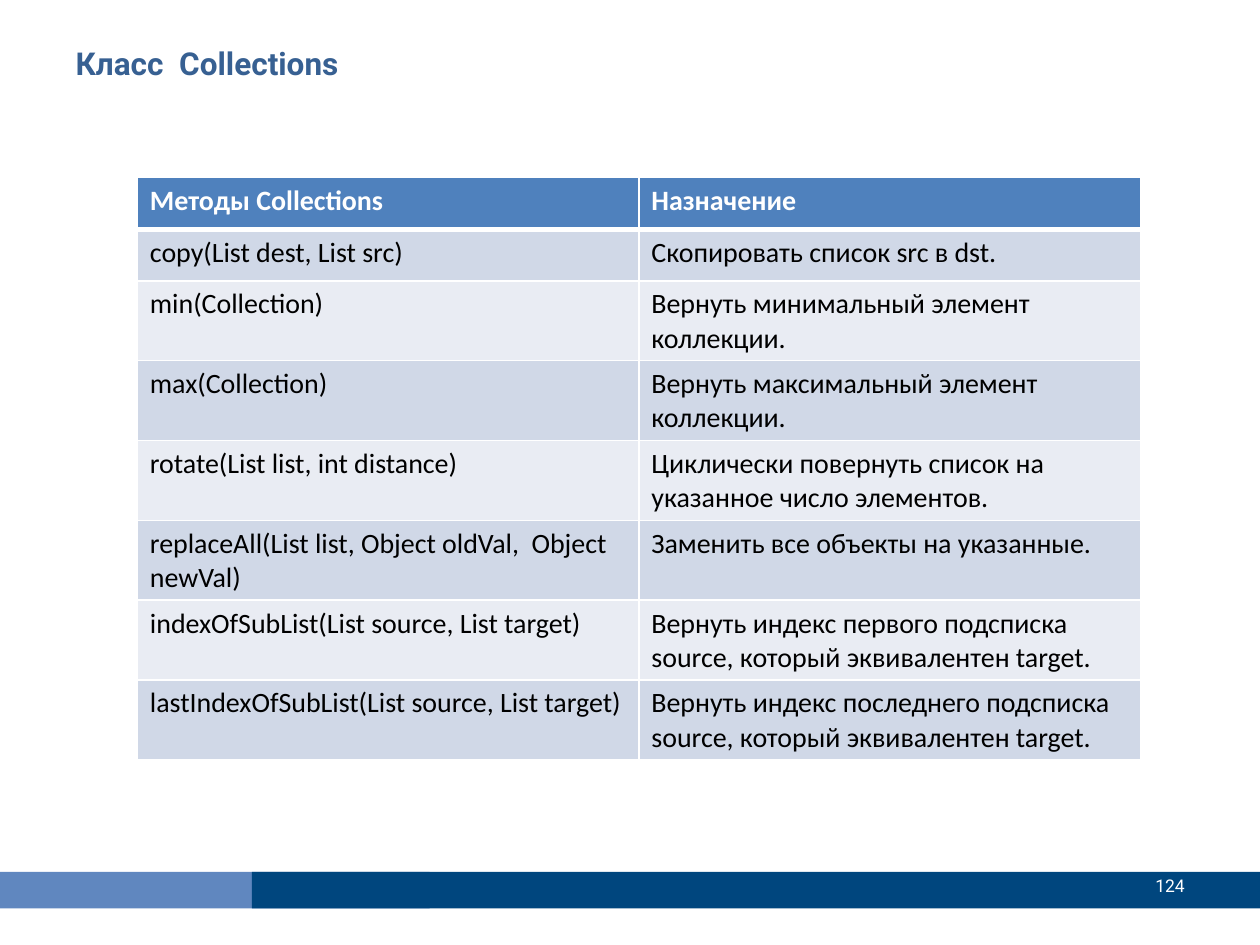
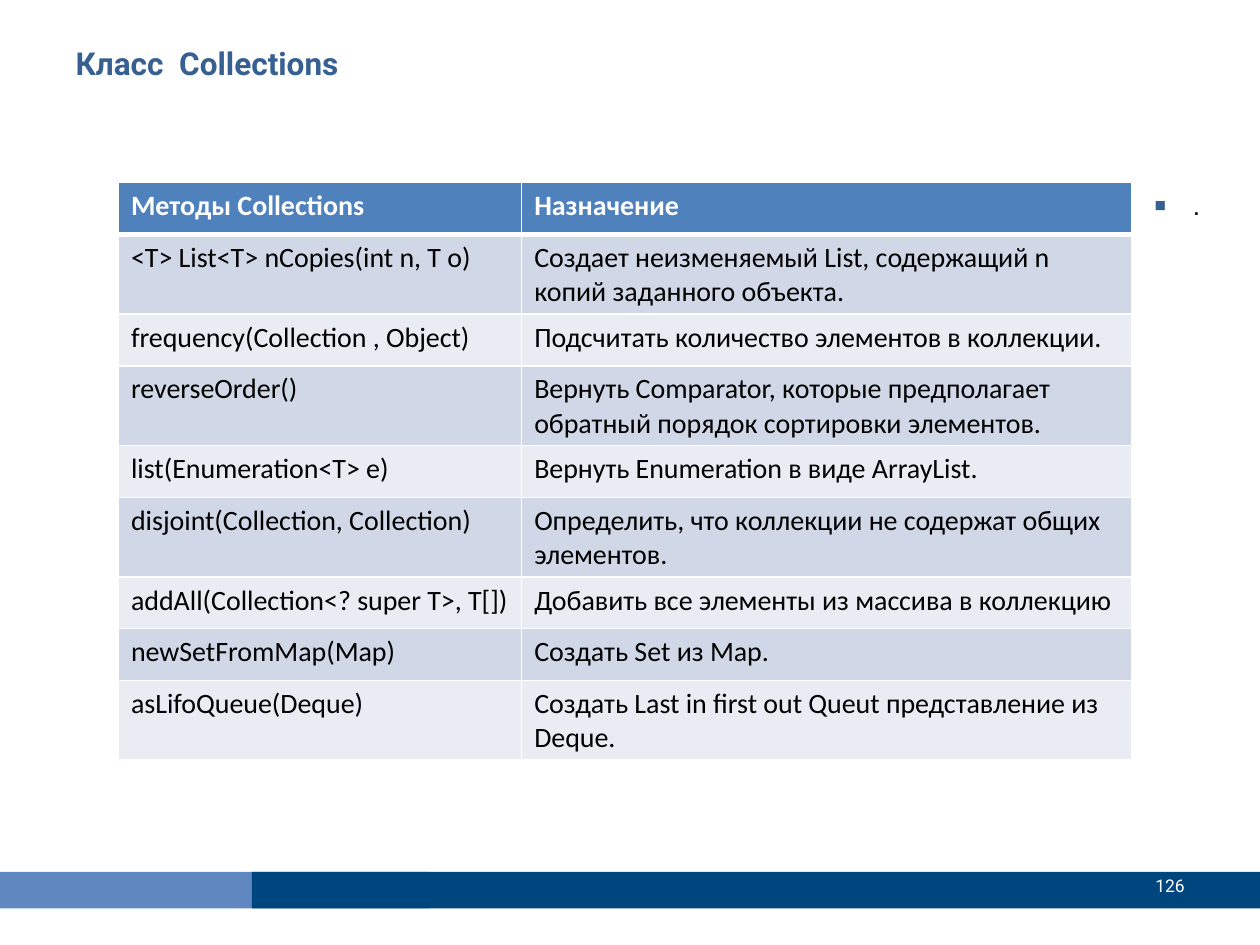
from dataclasses import dataclass

from lxml import etree
from pptx import Presentation
from pptx import util as u
from pptx.dml.color import RGBColor
from pptx.enum import shapes, text
from pptx.oxml import ns


@dataclass(frozen=True)
class Theme:
    """Colours, fonts and type sizes shared by the slides."""

    white: str = "FFFFFF"
    black: str = "000000"
    accent: str = "376092"
    band_light: str = "6087BF"
    band_dark: str = "00467E"
    header_fill: str = "4F81BD"
    row_fills: tuple = ("D0D8E7", "E9ECF3")
    title_font: str = "Roboto"
    table_font: str = "Calibri"
    note_font: str = "Arial"
    title_size: int = 18
    table_size: int = 16
    note_size: int = 15
    number_size: int = 10
    rule: float = 0.96
    header_rule: float = 3


THEME = Theme()
TITLE = "Класс  Collections"
HEADER = ("Методы Collections", "Назначение")
ONE_LINE, TWO_LINES = 0.41, 0.54

LIST_METHODS = [
    ("copy(List dest, List src)", "Скопировать список src в dst.", ONE_LINE),
    ("min(Collection)", "Вернуть минимальный элемент коллекции.", TWO_LINES),
    ("max(Collection)", "Вернуть максимальный элемент коллекции.", TWO_LINES),
    ("rotate(List list, int distance)",
     "Циклически повернуть список на указанное число элементов.", TWO_LINES),
    ("replaceAll(List list, Object oldVal,  Object newVal)",
     "Заменить все объекты на указанные.", TWO_LINES),
    ("indexOfSubList(List source, List target)",
     "Вернуть индекс первого подсписка source, который эквивалентен target.", TWO_LINES),
    ("lastIndexOfSubList(List source, List target)",
     "Вернуть индекс последнего подсписка source, который эквивалентен target.", TWO_LINES),
]

FACTORY_METHODS = [
    ("<T> List<T> nCopies(int n, T o)",
     "Создает неизменяемый List, содержащий n копий заданного объекта.", TWO_LINES),
    ("frequency(Collection , Object)",
     "Подсчитать количество элементов в коллекции.", ONE_LINE),
    ("reverseOrder()",
     "Вернуть Comparator, которые предполагает обратный порядок сортировки элементов.",
     TWO_LINES),
    ("list(Enumeration<T> e)", "Вернуть Enumeration в виде ArrayList.", ONE_LINE),
    ("disjoint(Collection, Collection)",
     "Определить, что коллекции не содержат общих элементов.", TWO_LINES),
    ("addAll(Collection<? super T>, T[])",
     "Добавить все элементы из массива в коллекцию", ONE_LINE),
    ("newSetFromMap(Map)", "Создать Sеt из Map.", ONE_LINE),
    ("asLifoQueue(Deque)",
     "Создать Last in first out Queut представление из Deque.", TWO_LINES),
]


def box(*lengths):
    """Convert left, top, width and height to inches."""
    return [u.Inches(n) for n in lengths]


def style(p, font, size, color, bold=False, align=text.PP_ALIGN.LEFT):
    """Format a whole paragraph."""
    p.alignment = align
    p.font.name = font
    p.font.size = u.Pt(size)
    p.font.bold = bold
    p.font.color.rgb = RGBColor.from_string(color)


def add_xml(parent, tag, **attrs):
    """Append a DrawingML element and return it."""
    return etree.SubElement(parent, ns.qn(tag), {k: str(v) for k, v in attrs.items()})


def add_band(s, color, *place):
    """Draw one plain footer band."""
    sp = s.shapes.add_shape(shapes.MSO_SHAPE.RECTANGLE, *box(*place))
    sp.shadow.inherit = False
    sp.fill.solid()
    sp.fill.fore_color.rgb = RGBColor.from_string(color)
    sp.line.fill.background()


def add_text(s, words, *place, anchor=text.MSO_ANCHOR.TOP):
    """Add a wrapping text box and return its paragraph."""
    tf = s.shapes.add_textbox(*box(*place)).text_frame
    tf.word_wrap = True
    tf.vertical_anchor = anchor
    tf.text = words
    return tf.paragraphs[0]


def set_title(s):
    """Place and format the title."""
    sp = s.shapes.title
    sp.left, sp.top, sp.width, sp.height = box(0.5, 0.3, 9, 0.78)
    tf = sp.text_frame
    tf.text = TITLE
    tf.auto_size = text.MSO_AUTO_SIZE.NONE
    tf.vertical_anchor = text.MSO_ANCHOR.TOP
    style(tf.paragraphs[0], THEME.title_font, THEME.title_size, THEME.accent, True)


def add_slide(prs, number):
    """Add a slide with its bands, title and number."""
    s = prs.slides.add_slide(prs.slide_layouts[5])
    add_band(s, THEME.band_light, 0, 6.92, 3.41, 0.29)
    add_band(s, THEME.band_dark, 2, 6.92, 8, 0.29)
    set_title(s)
    p = add_text(s, str(number), 8.42, 6.83, 1.08, 0.4, anchor=text.MSO_ANCHOR.MIDDLE)
    style(p, THEME.title_font, THEME.number_size, THEME.white, align=text.PP_ALIGN.RIGHT)
    return s


def set_borders(cell, top, bottom):
    """Give a cell white borders."""
    tc_pr = cell._tc.get_or_add_tcPr()
    widths = {"a:lnL": THEME.rule, "a:lnR": THEME.rule, "a:lnT": top, "a:lnB": bottom}
    for tag, width in widths.items():
        fill = add_xml(add_xml(tc_pr, tag, w=u.Pt(width)), "a:solidFill")
        add_xml(fill, "a:srgbClr", val=THEME.white)


def fill_cell(cell, words, row):
    """Write and format one cell according to its row."""
    is_header = row == 0
    set_borders(cell, THEME.header_rule if row == 1 else THEME.rule,
                THEME.header_rule if is_header else THEME.rule)
    cell.fill.solid()
    fill = THEME.header_fill if is_header else THEME.row_fills[(row - 1) % 2]
    cell.fill.fore_color.rgb = RGBColor.from_string(fill)
    cell.text = words
    color = THEME.white if is_header else THEME.black
    style(cell.text_frame.paragraphs[0], THEME.table_font, THEME.table_size, color, is_header)


def add_methods_table(s, methods, left, top, widths):
    """Add a table of methods and their purposes."""
    rows = [(*HEADER, ONE_LINE), *methods]
    height = sum(row[-1] for row in rows)
    place = box(left, top, sum(widths), height)
    table = s.shapes.add_table(len(rows), len(widths), *place).table
    table.horz_banding = False
    for column, width in zip(table.columns, widths):
        column.width = u.Inches(width)
    for i, (*words, row_height) in enumerate(rows):
        table.rows[i].height = u.Inches(row_height)
        for j, word in enumerate(words):
            fill_cell(table.cell(i, j), word, i)


def add_bullet_note(s, words, *place):
    """Add a paragraph with a square bullet."""
    p = add_text(s, words, *place)
    p_pr = p._p.get_or_add_pPr()
    p_pr.set("marL", str(u.Inches(0.31)))
    p_pr.set("indent", str(-u.Inches(0.31)))
    add_xml(add_xml(p_pr, "a:buClr"), "a:srgbClr", val=THEME.accent)
    add_xml(p_pr, "a:buSzPct", val=140000)
    add_xml(p_pr, "a:buFont", typeface=THEME.note_font)
    add_xml(p_pr, "a:buChar", char="▪")
    style(p, THEME.note_font, THEME.note_size, THEME.black)


def main():
    """Build and save the presentation."""
    prs = Presentation()
    prs.slide_width, prs.slide_height = u.Inches(10), u.Inches(7.5)
    s = add_slide(prs, 124)
    add_methods_table(s, LIST_METHODS, 1.09, 1.41, (3.98, 3.98))
    s = add_slide(prs, 126)
    add_methods_table(s, FACTORY_METHODS, 0.94, 1.45, (3.2, 4.84))
    add_bullet_note(s, ".", 9.06, 1.45, 0.94, 5.2)
    prs.save("out.pptx")


if __name__ == "__main__":
    main()
